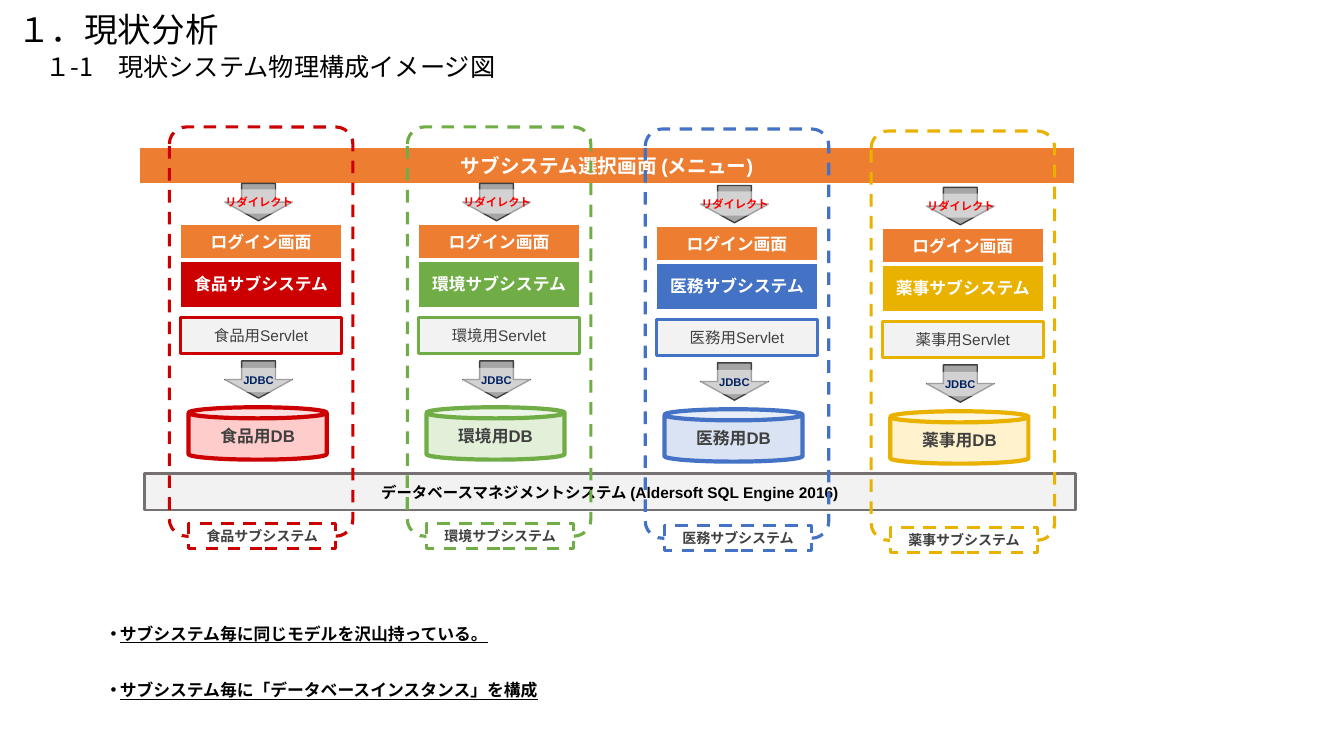
"""Build the slide showing the physical layout of the current subsystems."""
from dataclasses import dataclass

from lxml.etree import SubElement
from pptx import Presentation
from pptx.dml.color import RGBColor
from pptx.enum.dml import MSO_LINE
from pptx.enum.shapes import MSO_SHAPE
from pptx.enum.text import MSO_ANCHOR, MSO_AUTO_SIZE, PP_ALIGN
from pptx.oxml.ns import qn
from pptx.util import Inches, Pt

COLUMNS, ROWS = 1333, 750
CELL = Inches(0.01)
CJK = "Noto Sans CJK JP"
WHITE, ORANGE, PALE, DARK = "FFFFFF", "ED7D31", "F2F2F2", "404040"


@dataclass(frozen=True)
class Style:
    size: float
    color: str = DARK
    bold: bool = True
    underline: bool = False
    font: str = "Arial"


@dataclass(frozen=True)
class Part:
    left: int
    top: int
    width: int
    height: int
    kind: MSO_SHAPE = MSO_SHAPE.RECTANGLE
    fill: str | None = None
    line: str | None = None
    weight: float = 1
    dashed: bool = False
    adjust: float | None = None
    opacity: int = 100
    text: str = ""
    style: Style = Style(12)
    inset: bool = True


@dataclass(frozen=True)
class Subsystem:
    left: int
    drop: int
    name: str
    color: str
    tint: str


SUBSYSTEMS = [
    Subsystem(179, 0, "食品", "CC0000", "FFCCCC"),
    Subsystem(415, 0, "環境", "70AD47", "E2F0D9"),
    Subsystem(651, 2, "医務", "4472C4", "DAE3F3"),
    Subsystem(875, 4, "薬事", "EAB200", "FFF2CC"),
]
NOTES = [
    "サブシステム毎に同じモデルを沢山持っている。",
    "サブシステム毎に「データベースインスタンス」を構成",
]


def paint(target, color: str) -> None:
    """Give a fill or font colour format a solid hex colour."""
    if hasattr(target, "solid"):
        target.solid()
        target = target.fore_color
    target.rgb = RGBColor.from_string(color)


def place(box, left: int, top: int, width: int, height: int) -> None:
    """Position a box in grid cells."""
    box.left, box.top = left * CELL, top * CELL
    box.width, box.height = width * CELL, height * CELL


def write(para, text: str, style: Style) -> None:
    """Append one formatted run to a paragraph."""
    span = para.add_run()
    span.text = text
    span.font.name = style.font
    span.font.size = Pt(style.size)
    span.font.bold = style.bold
    span.font.underline = style.underline
    paint(span.font.color, style.color)
    SubElement(span.font._element, qn("a:ea"), typeface=CJK)


def prepare(box, align: PP_ALIGN):
    """Set up a centred-height wrapping frame and return it."""
    frame = box.text_frame
    frame.word_wrap = True
    frame.auto_size = MSO_AUTO_SIZE.NONE
    frame.vertical_anchor = MSO_ANCHOR.MIDDLE
    frame.paragraphs[0].alignment = align
    return frame


def draw(page, part: Part, left: int = 0, drop: int = 0) -> None:
    """Draw a part, shifted by the given cells."""
    box = page.shapes.add_shape(part.kind, 0, 0, CELL, CELL)
    place(box, left + part.left, drop + part.top, part.width, part.height)
    box.shadow.inherit = False
    if part.adjust is not None:
        box.adjustments[0] = part.adjust
    if part.fill:
        paint(box.fill, part.fill)
        if part.opacity < 100:
            tone = box._element.spPr.find(qn("a:solidFill"))[0]
            SubElement(tone, qn("a:alpha"), val=str(part.opacity * 1000))
    else:
        box.fill.background()
    if part.line:
        paint(box.line.fill, part.line)
        box.line.width = Pt(part.weight)
        if part.dashed:
            box.line.dash_style = MSO_LINE.DASH
    else:
        box.line.fill.background()
    if part.text:
        frame = prepare(box, PP_ALIGN.CENTER)
        if not part.inset:
            frame.margin_left = frame.margin_right = 0
            frame.margin_top = frame.margin_bottom = 0
        write(frame.paragraphs[0], part.text, part.style)


def draw_subsystem(page, item: Subsystem) -> None:
    """Draw one subsystem column from its redirect down to its label."""
    full_name = f"{item.name}サブシステム"
    bright = Style(12, WHITE)
    arrow = MSO_SHAPE.DOWN_ARROW
    parts = [
        Part(0, 259, 160, 46, fill=item.color, line=WHITE, text=full_name, style=bright),
        Part(8, 404, 137, 52, MSO_SHAPE.CAN, item.tint, item.color, 3,
             adjust=0.212, text=f"{item.name}用DB"),
        Part(0, 315, 160, 36, fill=PALE, line=item.color, weight=2,
             text=f"{item.name}用Servlet", style=Style(11, bold=False)),
        Part(44, 358, 67, 37, arrow, "A5A5A5", DARK),
        Part(44, 182, 67, 37, arrow, "A5A5A5", DARK),
        Part(44, 365, 67, 24, fill=WHITE, opacity=50, text="JDBC", style=Style(8, "002060")),
        Part(-11, 126, 182, 406, MSO_SHAPE.ROUNDED_RECTANGLE, line=item.color,
             weight=2.25, dashed=True, adjust=0.093),
        Part(34, 188, 88, 24, fill=WHITE, opacity=50, text="リダイレクト",
             style=Style(8, "FF0000")),
        Part(8, 519, 146, 25, fill=WHITE, line=item.color, weight=2.25, dashed=True,
             text=full_name, style=Style(10), inset=False),
        Part(0, 223, 160, 34, fill=ORANGE, line=WHITE, text="ログイン画面", style=bright),
    ]
    for part in parts:
        draw(page, part, item.left, item.drop)


def draw_heading(box, cells: tuple[int, int, int, int], text: str, size: float) -> None:
    """Place a heading and write its text."""
    place(box, *cells)
    frame = prepare(box, PP_ALIGN.LEFT)
    write(frame.paragraphs[0], text, Style(size, "000000", False, font=CJK))


def draw_notes(page) -> None:
    """Write the underlined bullet notes."""
    box = page.shapes.add_textbox(0, 0, CELL, CELL)
    place(box, 100, 611, 920, 91)
    frame = prepare(box, PP_ALIGN.LEFT)
    for index, note in enumerate(NOTES):
        para = frame.add_paragraph() if index else frame.paragraphs[0]
        if index:
            para.space_before = Pt(26)
        properties = para._p.get_or_add_pPr()
        properties.set("marL", str(9 * CELL))
        properties.set("indent", str(-9 * CELL))
        SubElement(properties, qn("a:buFont"), typeface="Arial")
        SubElement(properties, qn("a:buChar"), char="•")
        write(para, note, Style(12, "000000", underline=True))


def main() -> None:
    """Compose and save the deck."""
    deck = Presentation()
    deck.slide_width, deck.slide_height = COLUMNS * CELL, ROWS * CELL
    page = deck.slides.add_slide(deck.slide_layouts[5])
    draw_heading(page.shapes.title, (7, 4, 270, 50), "１．現状分析", 24)
    subtitle = page.shapes.add_textbox(0, 0, CELL, CELL)
    draw_heading(subtitle, (35, 46, 1011, 40), "１-1　現状システム物理構成イメージ図", 18)
    draw(page, Part(138, 146, 928, 36, fill=ORANGE, line=WHITE,
                    text="サブシステム選択画面 (メニュー)", style=Style(14, WHITE)))
    draw(page, Part(143, 470, 924, 36, fill=PALE, line="767171", weight=2,
                    text="データベースマネジメントシステム (Aldersoft SQL Engine 2016)",
                    style=Style(11, "000000")))
    draw_notes(page)
    for item in SUBSYSTEMS:
        draw_subsystem(page, item)
    deck.save("out.pptx")


main()
